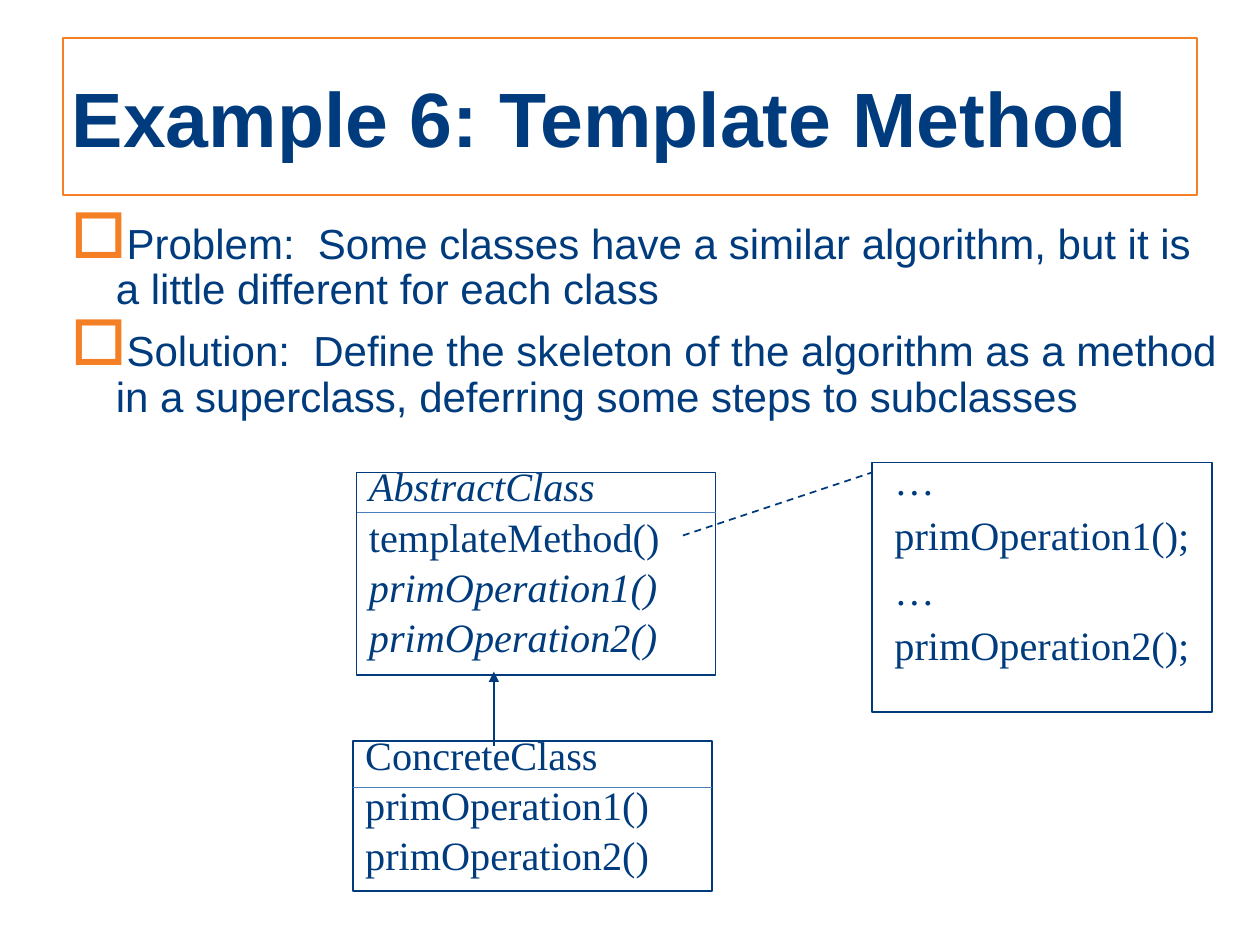
"""Build the Template Method pattern slide."""
from lxml import etree
from pptx import Presentation, util as u
from pptx.dml.color import RGBColor
from pptx.enum import dml, shapes, text
from pptx.oxml.ns import qn

NAVY = RGBColor(0x00, 0x3C, 0x7D)
ORANGE = RGBColor(0xF4, 0x7F, 0x24)
BLUE = RGBColor(0x4B, 0x7E, 0xBC)
TITLE = {"name": "Arial", "size": u.Pt(44), "bold": True}
BODY = {"name": "Arial", "size": u.Pt(24)}
CODE = {"name": "Times New Roman", "size": u.Pt(23)}
ITALIC = {**CODE, "italic": True}


class Deck:
    def __init__(self, prs):
        self.s = prs.slides.add_slide(prs.slide_layouts[6])

    def box(self, at, color):
        sp = self.s.shapes.add_shape(shapes.MSO_SHAPE.RECTANGLE, *map(u.Inches, at))
        sp.shadow.inherit = False
        sp.fill.background()
        sp.line.color.rgb = color
        sp.line.width = u.Pt(1)
        return sp

    def textbox(self, at):
        return self.s.shapes.add_textbox(*map(u.Inches, at))

    def set_text(self, sp, lines, inset=(0.1, 0.05), spacing=1.0, before=0,
                 anchor=text.MSO_ANCHOR.TOP, bullet=None):
        tf = sp.text_frame
        x, y = map(u.Inches, inset)
        frame = {"word_wrap": True, "vertical_anchor": anchor, "margin_left": x,
                 "margin_right": x, "margin_top": y, "margin_bottom": y}
        for key, value in frame.items():
            setattr(tf, key, value)
        for i, (line, style) in enumerate(lines):
            p = tf.add_paragraph() if i else tf.paragraphs[0]
            layout = {"alignment": text.PP_ALIGN.LEFT, "line_spacing": spacing,
                      "space_before": u.Pt(before if i else 0)}
            for key, value in layout.items():
                setattr(p, key, value)
            if bullet:
                self.bullet(p, bullet)
            r = p.add_run()
            r.text = line
            for key, value in style.items():
                setattr(r.font, key, value)
            r.font.color.rgb = NAVY

    def bullet(self, p, char):
        pPr = p._p.get_or_add_pPr()
        indent = u.Inches(0.36)
        pPr.set("marL", str(indent))
        pPr.set("indent", str(-indent))
        color = etree.SubElement(pPr, qn("a:buClr"))
        etree.SubElement(color, qn("a:srgbClr"), val=str(ORANGE))
        etree.SubElement(pPr, qn("a:buSzPct"), val="150000")
        etree.SubElement(pPr, qn("a:buChar"), char=char)

    def line(self, start, end, color=NAVY, width=1, dash=None, arrow=False):
        sp = self.s.shapes.add_connector(
            shapes.MSO_CONNECTOR.STRAIGHT, *map(u.Inches, start + end))
        sp.line.color.rgb = color
        sp.line.width = u.Pt(width)
        if dash:
            sp.line.dash_style = dash
        if arrow:
            etree.SubElement(sp.line._get_or_add_ln(), qn("a:tailEnd"), type="triangle")
        etree.SubElement(sp._element.spPr, qn("a:effectLst"))

    def uml_class(self, at, lines, divider):
        self.set_text(self.box(at, NAVY), lines, spacing=0.6, before=12.1)
        left, width = at[0], at[2]
        self.line((left, divider), (left + width, divider), BLUE, 0.75)


def main():
    prs = Presentation()
    prs.slide_width, prs.slide_height = u.Inches(10), u.Inches(7.5)
    deck = Deck(prs)
    deck.set_text(deck.box((0.5, 0.3, 9, 1.25), ORANGE),
                  [("Example 6: Template Method", TITLE)],
                  inset=(0.07, 0.03), anchor=text.MSO_ANCHOR.MIDDLE)
    deck.set_text(deck.textbox((0.5, 1.75, 9.25, 1.6)), [
        ("Problem:  Some classes have a similar algorithm, but it is a "
         "little different for each class", BODY),
        ("Solution:  Define the skeleton of the algorithm as a method "
         "in a superclass, deferring some steps to subclasses", BODY),
    ], inset=(0.06, 0.02), spacing=0.9, before=9.6, bullet="□")
    deck.uml_class((2.83, 3.75, 2.85, 1.61), [
        ("AbstractClass", ITALIC), ("templateMethod()", CODE),
        ("primOperation1()", ITALIC), ("primOperation2()", ITALIC)], 4.07)
    deck.uml_class((2.8, 5.88, 2.85, 1.19), [
        ("ConcreteClass", CODE), ("primOperation1()", CODE),
        ("primOperation2()", CODE)], 6.25)
    deck.line((5.42, 4.25), (6.92, 3.75), dash=dml.MSO_LINE.DASH)
    deck.box((6.92, 3.67, 2.7, 1.98), NAVY)
    deck.set_text(deck.textbox((7, 3.67, 2.58, 1.75)),
                  [(step, CODE) for step in
                   ("…", "primOperation1();", "…", "primOperation2();")],
                  spacing=0.7, before=12.1)
    deck.line((3.92, 5.92), (3.92, 5.33), arrow=True)
    prs.save("out.pptx")


if __name__ == "__main__":
    main()
